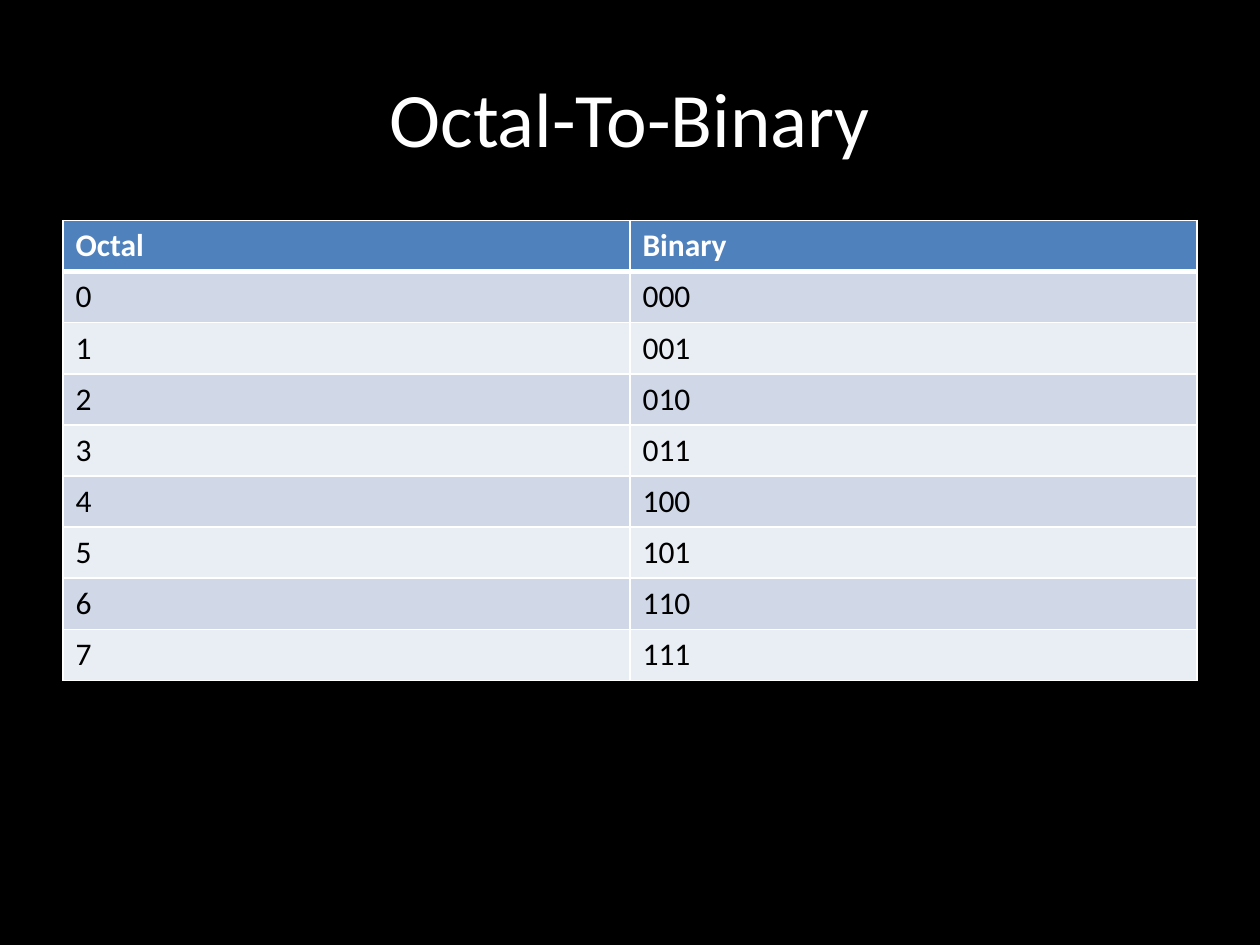
"""Build the octal-to-binary table slide."""
from dataclasses import dataclass

from lxml import etree
from pptx import Presentation
from pptx.dml.color import RGBColor
from pptx.enum import text
from pptx.oxml import ns
from pptx.util import Pt

TITLE = "Octal-To-Binary"
HEAD = ("Octal", "Binary")
ROWS = [HEAD] + [(str(n), f"{n:03b}") for n in range(8)]


@dataclass
class Theme:
    font: str = "Calibri"
    back: str = "000000"
    light: str = "FFFFFF"
    dark: str = "000000"
    head: str = "4F81BD"
    bands: tuple = ("D0D8E8", "E9EDF4")
    title: int = 44
    body: int = 18
    line: int = 1
    rule: int = 3


theme = Theme()
LEFT, WIDTH = 36, 648
TOP, ROW = 126, 29.2


def paint(fill, color):
    fill.solid()
    fill.fore_color.rgb = RGBColor.from_string(color)


def write(para, words, size, color, bold=False):
    run = para.add_run()
    run.text = words
    font = run.font
    font.name, font.size, font.bold = theme.font, Pt(size), bold
    font.color.rgb = RGBColor.from_string(color)


def edge(cell, side, width):
    props = cell._tc.get_or_add_tcPr()
    line = etree.SubElement(props, ns.qn(f"a:ln{side}"), w=str(Pt(width)))
    fill = etree.SubElement(line, ns.qn("a:solidFill"))
    etree.SubElement(fill, ns.qn("a:srgbClr"), val=theme.light)


deck = Presentation()
deck.slide_width, deck.slide_height = Pt(720), Pt(540)
slide = deck.slides.add_slide(deck.slide_layouts[5])
paint(slide.background.fill, theme.back)

title = slide.shapes.title
title.left, title.top = Pt(LEFT), Pt(21.6)
title.width, title.height = Pt(WIDTH), Pt(90)
title.text_frame.vertical_anchor = text.MSO_ANCHOR.MIDDLE
para = title.text_frame.paragraphs[0]
para.alignment = text.PP_ALIGN.CENTER
write(para, TITLE, theme.title, theme.light)

table = slide.shapes.add_table(
    len(ROWS), len(HEAD), Pt(LEFT), Pt(TOP), Pt(WIDTH), Pt(ROW * len(ROWS))
).table
for col in table.columns:
    col.width = Pt(WIDTH / len(HEAD))
for r, row in enumerate(ROWS):
    table.rows[r].height = Pt(ROW)
    top = r == 0
    for c, words in enumerate(row):
        cell = table.cell(r, c)
        for side in "LRTB":
            heavy = (side == "B" and r == 0) or (side == "T" and r == 1)
            edge(cell, side, theme.rule if heavy else theme.line)
        paint(cell.fill, theme.head if top else theme.bands[(r - 1) % 2])
        color = theme.light if top else theme.dark
        write(cell.text_frame.paragraphs[0], words, theme.body, color, top)

deck.save("out.pptx")
